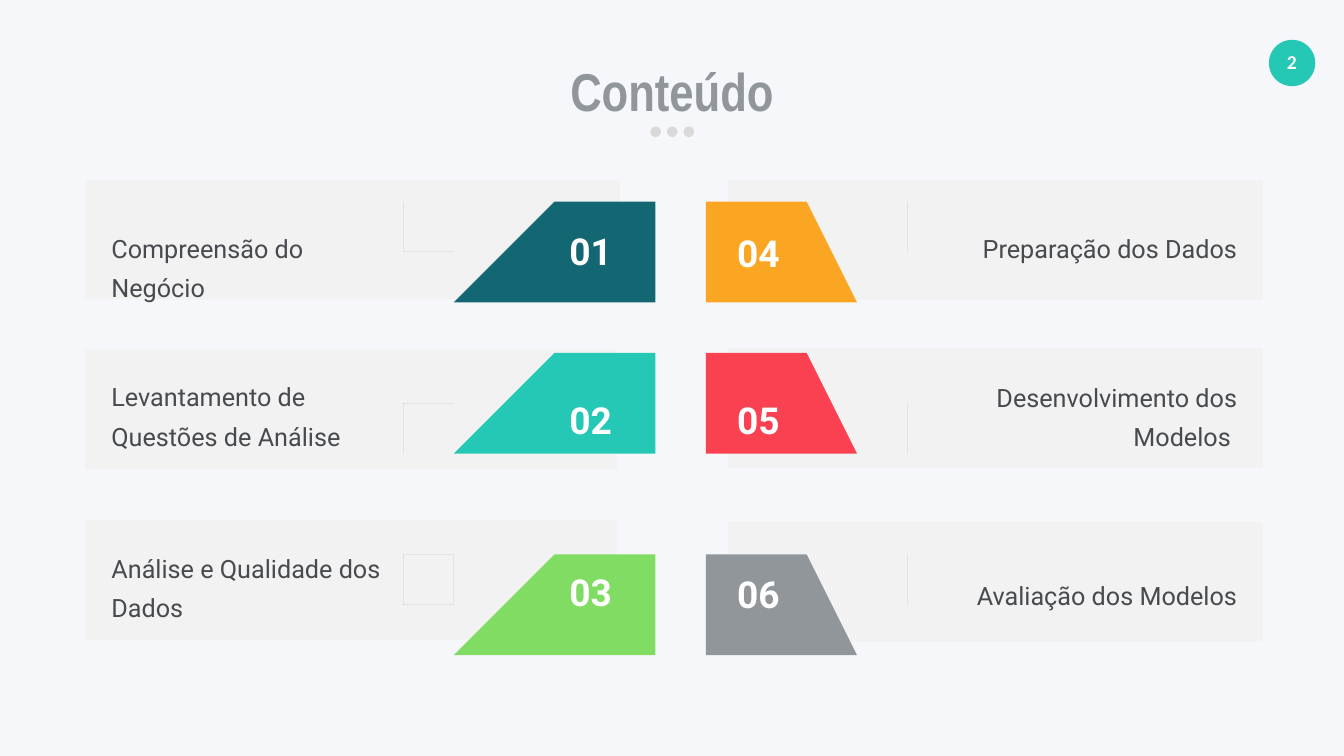
"""Build the contents slide: six numbered topics in two mirrored columns."""
from math import cos, pi, sin

from pptx import Presentation
from pptx.dml.color import RGBColor
from pptx.enum.shapes import MSO_SHAPE
from pptx.enum.text import MSO_ANCHOR, MSO_AUTO_SIZE, PP_ALIGN
from pptx.util import Inches, Pt

RECTANGLE, OVAL = MSO_SHAPE.RECTANGLE, MSO_SHAPE.OVAL
LEFT, CENTER, RIGHT = PP_ALIGN.LEFT, PP_ALIGN.CENTER, PP_ALIGN.RIGHT
MIDDLE = MSO_ANCHOR.MIDDLE
GROW = MSO_AUTO_SIZE.SHAPE_TO_FIT_TEXT

COLORS = {
    "background": "F6F7FA", "bar": "F2F2F2", "icon": "808080", "dot": "D9D9D9",
    "label": "474B4F", "white": "FFFFFF", "gray": "91969B", "petrol": "136773",
    "teal": "25C8B4", "green": "81DC64", "orange": "FBA622", "red": "F94151",
}
ARROW = [(-0.16, -0.03), (0.05, -0.03), (0.01, -0.08), (0.03, -0.13),
         (0.06, -0.12), (0.16, -0.02), (0.16, 0.02), (0.06, 0.12),
         (0.03, 0.13), (0.01, 0.08), (0.05, 0.03), (-0.16, 0.03)]
LEFT_COLUMN = {
    "tab_edge": 12.68, "direction": -1, "number_left": 11.02,
    "label_left": 2.01, "icon_center": 8.38, "number_align": RIGHT, "label_align": LEFT,
}
RIGHT_COLUMN = {
    "tab_edge": 14.06, "direction": 1, "number_left": 14.35,
    "label_left": 18.95, "icon_center": 18.19, "number_align": LEFT, "label_align": RIGHT,
}
# column, number, label, color, bar left/top/width, tab top, number top, label top, icon top
TOPICS = [
    (LEFT_COLUMN, "01", "Compreensão do Negócio", "petrol", (1.69, 3.57, 10.61), 3.88, 4.4, 4.34, 4.49),
    (LEFT_COLUMN, "02", "Levantamento de Questões de Análise", "teal",
     (1.69, 6.94, 10.54), 7.25, 7.75, 7.29, 7.82),
    (LEFT_COLUMN, "03", "Análise e Qualidade dos Dados", "green",
     (1.69, 10.32, 10.54), 10.65, 11.16, 10.69, 11.23),
    (RIGHT_COLUMN, "04", "Preparação dos Dados", "orange", (14.44, 3.58, 10.61), 3.89, 4.44, 4.34, 4.49),
    (RIGHT_COLUMN, "05", "Desenvolvimento dos Modelos ", "red",
     (14.44, 6.91, 10.61), 7.23, 7.75, 7.3, 7.89),
    (RIGHT_COLUMN, "06", "Avaliação dos Modelos", "gray", (14.44, 10.36, 10.61), 10.67, 11.2, 11.23, 11.38),
]


class SlideBuilder:
    """Holds the style and the current slide, and draws each kind of element."""

    def __init__(self, slide):
        self.slide = slide
        self.font_name = "Roboto"
        fill = slide.background.fill
        fill.solid()
        fill.fore_color.rgb = RGBColor.from_string(COLORS["background"])

    def paint(self, shape, color):
        shape.shadow.inherit = False
        shape.fill.solid()
        shape.fill.fore_color.rgb = RGBColor.from_string(COLORS[color])
        shape.line.fill.background()

    def shape(self, kind, left, top, width, height, color):
        shape = self.slide.shapes.add_shape(
            kind, Inches(left), Inches(top), Inches(width), Inches(height))
        self.paint(shape, color)

    def outline(self, contours, color):
        first, *others = contours
        builder = self.slide.shapes.build_freeform(*first[0], scale=Inches(1))
        builder.add_line_segments(first[1:])
        for contour in others:
            builder.move_to(*contour[0])
            builder.add_line_segments(contour[1:])
        self.paint(builder.convert_to_shape(), color)

    def format_text(self, shape, text, size, color, align, font_name, bold, insets, wrap):
        frame = shape.text_frame
        frame.text = text
        frame.word_wrap = wrap
        frame.auto_size = GROW
        frame.margin_left = frame.margin_right = Inches(insets[0])
        frame.margin_top = frame.margin_bottom = Inches(insets[1])
        paragraph = frame.paragraphs[0]
        paragraph.alignment = align
        paragraph.font.name = font_name
        paragraph.font.size = Pt(size)
        paragraph.font.bold = bold
        paragraph.font.color.rgb = RGBColor.from_string(COLORS[color])
        return paragraph

    def text(self, box, text, size, color, align, font_name=None, bold=True,
             insets=(0.27, 0.13), wrap=False):
        shape = self.slide.shapes.add_textbox(*map(Inches, box))
        return self.format_text(shape, text, size, color, align,
                                font_name or self.font_name, bold, insets, wrap)

    def title(self, text):
        title = self.slide.shapes.title
        title.left, title.top, title.width, title.height = map(Inches, (11.11, 1.16, 4.44, 1.28))
        self.format_text(title, text, 76, "gray", CENTER, "Arial Narrow", True, (0, 0), False)
        title.text_frame.vertical_anchor = MIDDLE

    def tab(self, edge, top, direction, color):
        short, long, bottom = edge + direction * 2.06, edge + direction * 3.31, top + 2.24
        self.outline([[(edge, top), (short, top), (long, bottom), (edge, bottom), (edge, top)]], color)

    def icon(self, center, top, direction):
        middle = top + 0.35

        def ring(radius_x, radius_y, turn):
            angles = [turn * 2 * pi * step / 48 for step in range(49)]
            return [(center + radius_x * cos(angle), middle + radius_y * sin(angle)) for angle in angles]

        arrow = [(center + direction * x, middle + y) for x, y in ARROW + ARROW[:1]]
        self.outline([ring(0.31, 0.35, 1), ring(0.26, 0.28, -1), arrow], "icon")

    def topic(self, column, number, label, color, bar, tab_top, number_top, label_top, icon_top):
        self.shape(RECTANGLE, *bar, 2.37, "bar")
        self.tab(column["tab_edge"], tab_top, column["direction"], color)
        self.text((column["number_left"], number_top, 1.39, 1.16), number, 53, "white",
                  column["number_align"])
        paragraph = self.text((column["label_left"], label_top, 5.79, 0.99), label, 36, "label",
                              column["label_align"], bold=False, insets=(0.2, 0.1), wrap=True)
        paragraph.line_spacing = 1.3
        self.icon(column["icon_center"], icon_top, column["direction"])


def main():
    presentation = Presentation()
    presentation.slide_width, presentation.slide_height = Inches(26.66), Inches(15)
    builder = SlideBuilder(presentation.slides.add_slide(presentation.slide_layouts[5]))
    builder.shape(OVAL, 25.17, 0.79, 0.92, 0.92, "teal")
    builder.text((25.19, 0.9, 0.87, 0.67), "2", 28, "white", CENTER, "Calibri", insets=(0.2, 0.1))
    builder.title("Conteúdo")
    for index in range(3):
        builder.shape(OVAL, 12.9 + 0.33 * index, 2.51, 0.21, 0.21, "dot")
    for topic in TOPICS:
        builder.topic(*topic)
    presentation.save("out.pptx")


if __name__ == "__main__":
    main()
